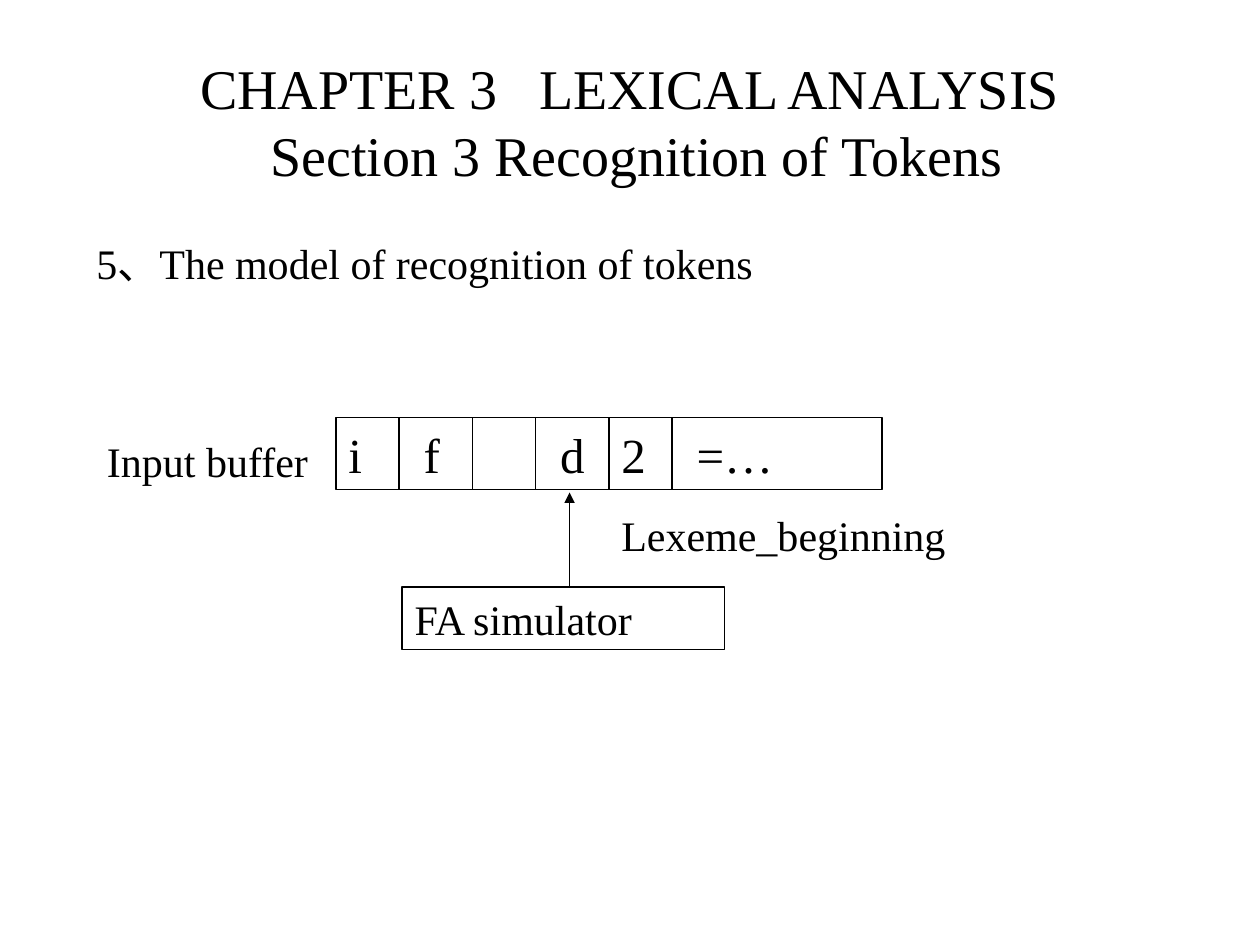
from dataclasses import dataclass
from itertools import accumulate

from lxml import etree
from pptx import Presentation
from pptx.dml.color import RGBColor
from pptx.enum.shapes import MSO_CONNECTOR, MSO_SHAPE
from pptx.enum.text import MSO_ANCHOR, PP_ALIGN
from pptx.oxml.ns import qn
from pptx.slide import Slide
from pptx.text.text import TextFrame
from pptx.util import Emu, Inches, Pt

BLACK = RGBColor(0x00, 0x00, 0x00)
FONT = "Times New Roman"
LINE_WIDTH = Pt(0.75)
UNITS_PER_INCH = 12  # the slide is a grid of 120 columns by 90 rows
LABEL_ROWS = 6
TITLE_SIZE, CELL_SIZE, LABEL_SIZE = 32, 28, 24


@dataclass(frozen=True)
class Area:
    """A rectangle in columns and rows of the grid."""
    column: float
    row: float
    columns: float
    rows: float = LABEL_ROWS

    def lengths(self) -> list[Emu]:
        return [grid(n) for n in (self.column, self.row, self.columns, self.rows)]


@dataclass(frozen=True)
class Cell:
    symbol: str
    columns: int


@dataclass(frozen=True)
class Label:
    text: str
    area: Area


BUFFER_COLUMN, BUFFER_ROW, BUFFER_ROWS = 32, 39.8, 6.84
BUFFER = [Cell("i", 6), Cell(" f", 7), Cell("", 6),
          Cell(" d", 7), Cell("2", 6), Cell(" =…", 20)]
TITLE_LINES = ["CHAPTER 3   LEXICAL ANALYSIS", " Section 3 Recognition of Tokens"]
TITLE_AREA = Area(9, 2, 102, 19)
SIMULATOR = Label("FA simulator", Area(38.3, 55.9, 30.7))
LABELS = [
    Label("Input buffer", Area(9, 40.9, 27)),
    Label("Lexeme_beginning", Area(58, 47.9, 42)),
    Label("5、The model of recognition of tokens", Area(8, 22, 94)),
]
POINTER_COLUMN, POINTER_TIP_ROW = 54.25, 46.9


def grid(units: float) -> Emu:
    return Inches(units / UNITS_PER_INCH)


def write(frame: TextFrame, lines: list[str], size: int,
          align: PP_ALIGN = PP_ALIGN.LEFT,
          anchor: MSO_ANCHOR = MSO_ANCHOR.TOP) -> None:
    frame.word_wrap = True
    frame.vertical_anchor = anchor
    paragraph = frame.paragraphs[0]
    paragraph.alignment = align
    for number, line in enumerate(lines):
        if number:
            paragraph.add_line_break()
        run = paragraph.add_run()
        run.text = line
        run.font.name = FONT
        run.font.size = Pt(size)
        run.font.color.rgb = BLACK


def add_box(slide: Slide, area: Area, text: str, size: int) -> None:
    box = slide.shapes.add_shape(MSO_SHAPE.RECTANGLE, *area.lengths())
    box.shadow.inherit = False
    box.fill.background()
    box.line.color.rgb = BLACK
    box.line.width = LINE_WIDTH
    if text:
        write(box.text_frame, [text], size)


def add_buffer(slide: Slide) -> None:
    starts = accumulate((cell.columns for cell in BUFFER), initial=BUFFER_COLUMN)
    for cell, start in zip(BUFFER, starts):
        area = Area(start, BUFFER_ROW, cell.columns, BUFFER_ROWS)
        add_box(slide, area, cell.symbol, CELL_SIZE)


def add_pointer(slide: Slide) -> None:
    """Draw the arrow from the simulator up to the current symbol."""
    column = grid(POINTER_COLUMN)
    pointer = slide.shapes.add_connector(
        MSO_CONNECTOR.STRAIGHT, column, grid(SIMULATOR.area.row),
        column, grid(POINTER_TIP_ROW))
    pointer.line.color.rgb = BLACK
    pointer.line.width = LINE_WIDTH
    etree.SubElement(pointer.line._get_or_add_ln(), qn("a:tailEnd"), type="triangle")
    etree.SubElement(pointer._element.spPr, qn("a:effectLst"))


def main() -> None:
    presentation = Presentation()
    presentation.slide_width, presentation.slide_height = grid(120), grid(90)
    slide = presentation.slides.add_slide(presentation.slide_layouts[6])

    title = slide.shapes.add_textbox(*TITLE_AREA.lengths())
    write(title.text_frame, TITLE_LINES, TITLE_SIZE, PP_ALIGN.CENTER, MSO_ANCHOR.MIDDLE)
    add_buffer(slide)
    add_pointer(slide)
    add_box(slide, SIMULATOR.area, SIMULATOR.text, LABEL_SIZE)
    for label in LABELS:
        caption = slide.shapes.add_textbox(*label.area.lengths())
        write(caption.text_frame, [label.text], LABEL_SIZE)

    presentation.save("out.pptx")


if __name__ == "__main__":
    main()
